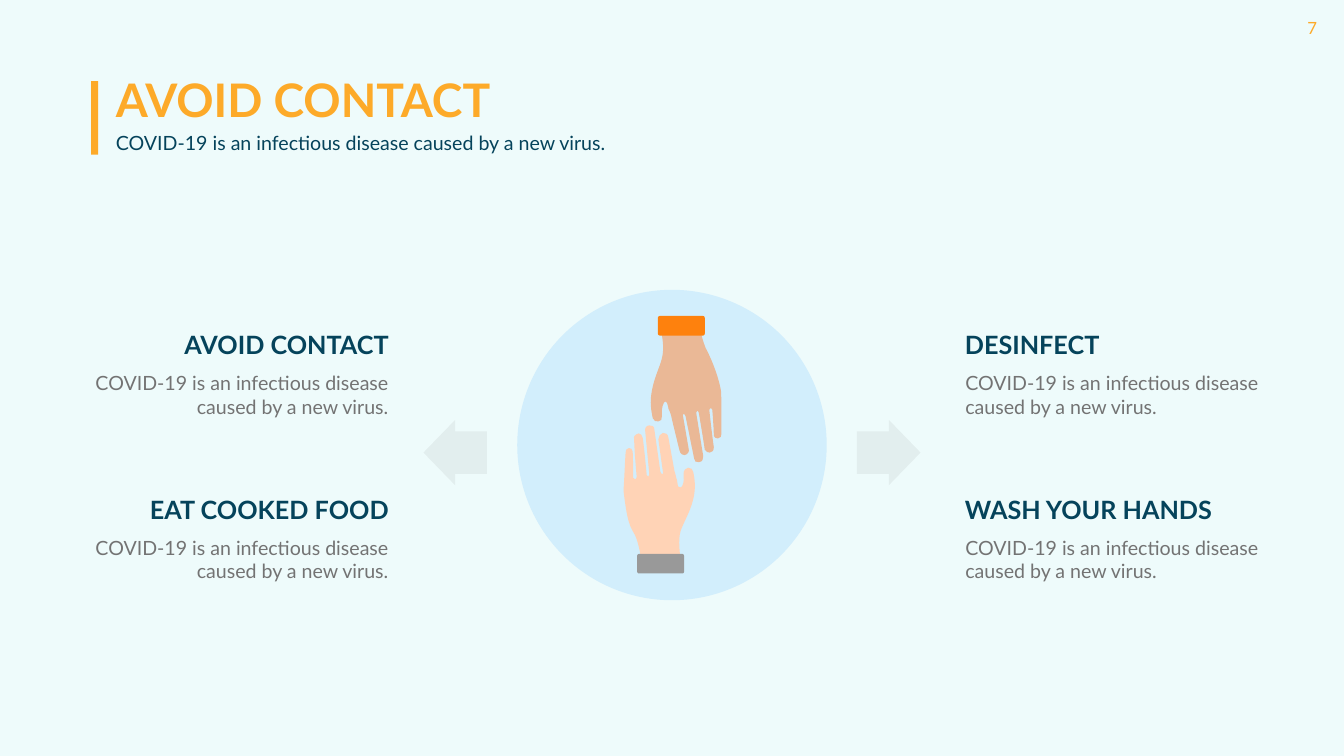
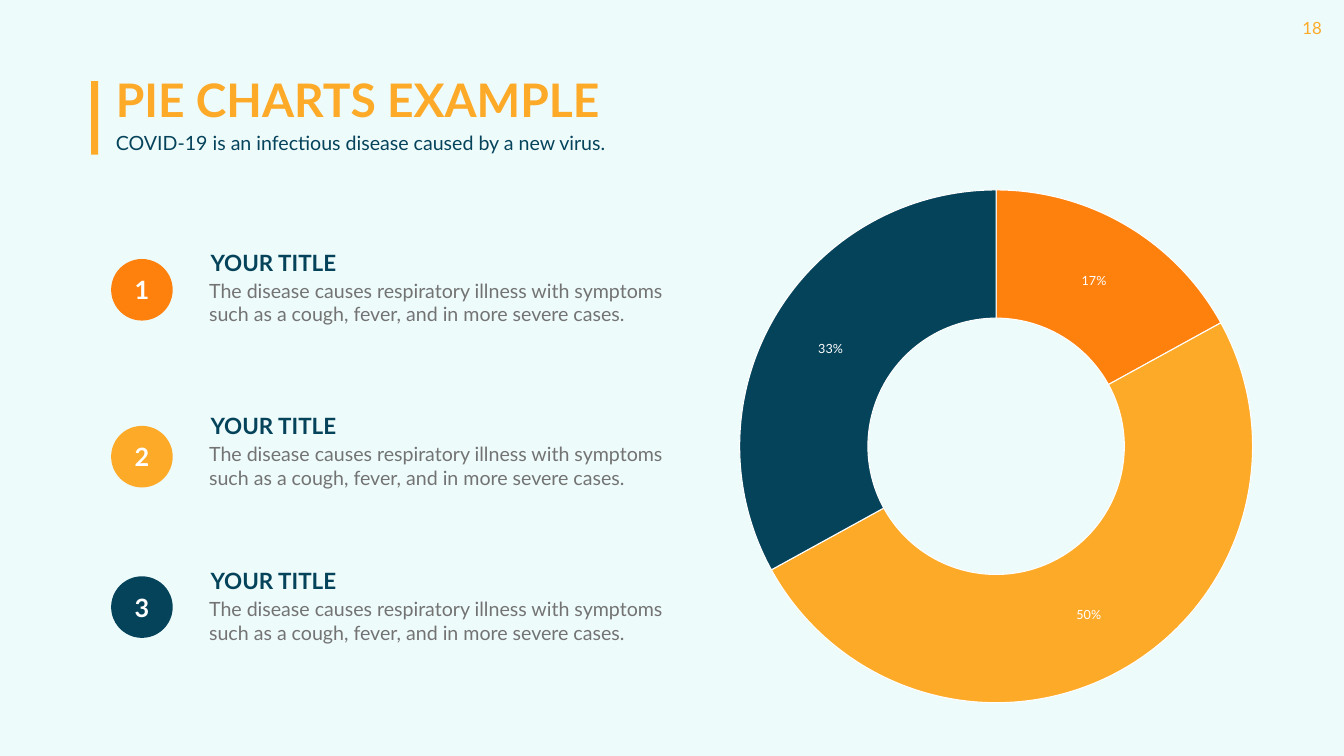
from pptx import Presentation
from pptx.chart.data import CategoryChartData
from pptx.dml.color import RGBColor
from pptx.enum.chart import XL_CHART_TYPE
from pptx.enum.shapes import MSO_SHAPE
from pptx.enum.text import MSO_ANCHOR, MSO_AUTO_SIZE, PP_ALIGN
from pptx.oxml.ns import qn
from pptx.util import Pt
from lxml import etree

LEFT, CENTER, RIGHT = PP_ALIGN.LEFT, PP_ALIGN.CENTER, PP_ALIGN.RIGHT
MIDDLE = MSO_ANCHOR.MIDDLE
FIT_SHAPE = MSO_AUTO_SIZE.SHAPE_TO_FIT_TEXT
RECTANGLE, ROUNDED = MSO_SHAPE.RECTANGLE, MSO_SHAPE.ROUNDED_RECTANGLE
OVAL, RIGHT_ARROW = MSO_SHAPE.OVAL, MSO_SHAPE.RIGHT_ARROW
DOUGHNUT = XL_CHART_TYPE.DOUGHNUT

WHITE = RGBColor(0xFF, 0xFF, 0xFF)
MINT = RGBColor(0xEC, 0xFB, 0xFB)
AMBER = RGBColor(0xFD, 0xAA, 0x29)
ORANGE = RGBColor(0xFE, 0x81, 0x0D)
NAVY = RGBColor(0x05, 0x43, 0x5B)
BODY_GRAY = RGBColor(0x73, 0x73, 0x73)
ARROW_GRAY = RGBColor(0x80, 0x80, 0x80)
CUFF_GRAY = RGBColor(0x99, 0x99, 0x99)
SKY = RGBColor(0xD2, 0xEE, 0xFC)
TAN = RGBColor(0xEA, 0xB8, 0x96)
PEACH = RGBColor(0xFF, 0xD3, 0xB6)

FONT = "Lato"
WIDTH, HEIGHT = 1919.52, 1080
VIRUS_TEXT = "COVID-19 is an infectious disease caused by a new virus."
SYMPTOMS_TEXT = ("The disease causes respiratory illness with symptoms "
                 "such as a cough, fever, and in more severe cases.")

# Hand outlines: two numbers are a line's end, six are a Bézier curve
# (two control points and the end). One unit is 0.72 pt.
HAND_UNIT = 0.72
UPPER_HAND = [
    (23, 2), (20, 2, 18, 5, 18, 9), (25, 36, 28, 59, 23, 78),
    (20, 94, 3, 124, 1, 160), (0, 177, 5, 197, 5, 197),
    (7, 202, 12, 205, 16, 203), (22, 203, 23, 199, 23, 193),
    (23, 185, 22, 175, 27, 166), (28, 163, 31, 163, 33, 166),
    (33, 166, 36, 175, 36, 178), (38, 181, 42, 192, 42, 195),
    (46, 212, 58, 261, 58, 261), (60, 269, 65, 270, 68, 270),
    (75, 269, 78, 262, 76, 257), (65, 193), (63, 188, 68, 186, 70, 193),
    (87, 277), (87, 282, 91, 285, 96, 284), (103, 284, 106, 277, 105, 272),
    (91, 186), (90, 181, 96, 180, 96, 185), (96, 185, 105, 237, 108, 259),
    (110, 264, 115, 265, 118, 265), (123, 265, 126, 261, 126, 254),
    (123, 235, 117, 180, 117, 180), (117, 175, 123, 175, 123, 180),
    (123, 180, 126, 217, 126, 232), (126, 235, 131, 237, 134, 237),
    (140, 237, 141, 232, 141, 228), (141, 172),
    (141, 172, 141, 148, 140, 141), (133, 104, 115, 67, 110, 58),
    (103, 40, 102, 34, 95, 5), (95, 2, 91, 0, 90, 0),
]
LOWER_HAND = [
    (112, 285), (114, 285, 116, 282, 116, 280),
    (112, 252, 109, 228, 114, 210), (119, 193, 139, 164, 142, 129),
    (144, 112, 139, 92, 139, 92), (139, 87, 134, 84, 129, 84),
    (124, 85, 120, 89, 120, 96), (120, 102, 122, 112, 117, 121),
    (116, 124, 111, 124, 109, 121), (107, 109),
    (105, 104, 104, 96, 102, 91), (99, 74, 90, 25, 90, 25),
    (89, 16, 84, 15, 79, 15), (74, 16, 70, 22, 70, 28), (79, 92),
    (81, 97, 76, 99, 74, 92), (62, 8), (62, 1, 57, 0, 52, 0),
    (46, 0, 42, 7, 44, 12), (52, 97), (54, 102, 47, 104, 47, 99),
    (47, 99, 42, 45, 39, 25), (39, 20, 34, 16, 31, 16),
    (24, 18, 20, 22, 22, 28), (22, 47, 27, 102, 27, 102),
    (27, 109, 20, 107, 20, 104), (20, 104, 20, 65, 19, 52),
    (19, 47, 15, 45, 12, 45), (7, 45, 5, 49, 5, 54),
    (4, 69, 2, 111, 2, 111), (2, 111, 0, 133, 2, 139),
    (4, 154, 7, 178, 12, 193), (15, 206, 24, 215, 27, 226),
    (32, 242, 34, 253, 39, 282), (39, 285, 42, 287, 44, 287),
]


def add_text(slide, box, text, align=LEFT, **font_format):
    shape = slide.shapes.add_textbox(*map(Pt, box))
    frame = shape.text_frame
    frame.word_wrap = True
    frame.auto_size = FIT_SHAPE
    paragraph = frame.paragraphs[0]
    paragraph.alignment = align
    run = paragraph.add_run()
    run.text = text
    run.font.color.rgb = font_format.pop("color")
    for name, value in {"name": FONT, **font_format}.items():
        setattr(run.font, name, value)
    return shape


def add_filled(slide, kind, box, color, opacity=100):
    shape = slide.shapes.add_shape(kind, *map(Pt, box))
    shape.shadow.inherit = False
    shape.line.fill.background()
    shape.fill.solid()
    shape.fill.fore_color.rgb = color
    if opacity < 100:
        color_element = shape.fill._xPr.find(".//" + qn("a:srgbClr"))
        etree.SubElement(color_element, qn("a:alpha"), val=str(opacity * 1000))
    return shape


presentation = Presentation()
presentation.slide_width, presentation.slide_height = Pt(WIDTH), Pt(HEIGHT)
blank_layout = presentation.slide_layouts[6]
contact_slide = presentation.slides.add_slide(blank_layout)
chart_slide = presentation.slides.add_slide(blank_layout)

# The tinted background goes to the master, behind everything
background = add_filled(contact_slide, RECTANGLE, (0, 0, WIDTH, HEIGHT), MINT,
                        opacity=85)
presentation.slide_master.shapes._spTree.insert(2, background._element)

# Shared page number and heading
for slide, number, title in [(contact_slide, "7", "AVOID CONTACT"),
                             (chart_slide, "18", "PIE CHARTS EXAMPLE")]:
    page_number = add_text(slide, (1845.36, 18, 69, 44), number, CENTER,
                           size=Pt(24), color=AMBER)
    margins = {"margin_left": 3, "margin_right": 14.4,
               "margin_top": 7.2, "margin_bottom": 7.2}
    for name, value in margins.items():
        setattr(page_number.text_frame, name, Pt(value))
    add_filled(slide, RECTANGLE, (130.3, 116, 10, 105), AMBER)
    add_text(slide, (158.4, 98, 834, 87), title,
             size=Pt(66), color=AMBER, bold=True)
    add_text(slide, (158.4, 183.6, 722, 41), VIRUS_TEXT,
             size=Pt(28), color=NAVY)

# Avoid contact: hands in a circle
add_filled(contact_slide, OVAL, (738.7, 414, 442, 443.5), SKY)
for outline, left, top, color in [(UPPER_HAND, 928.8, 455.76, TAN),
                                  (LOWER_HAND, 889.92, 607.68, PEACH)]:
    vertices = [(Pt(segment[-2] * HAND_UNIT), Pt(segment[-1] * HAND_UNIT))
                for segment in outline]
    builder = contact_slide.shapes.build_freeform(*vertices[0])
    builder.add_line_segments(vertices[1:], close=True)
    hand = builder.convert_to_shape(Pt(left), Pt(top))
    hand.shadow.inherit = False
    hand.line.fill.background()
    hand.fill.solid()
    hand.fill.fore_color.rgb = color
    # Bend the straight segments that have control points
    min_x, min_y = (min(axis) for axis in zip(*vertices))
    lines = list(hand._element.iter(qn("a:lnTo")))
    for line, segment in zip(lines, outline[1:]):
        if len(segment) == 6:
            line.tag = qn("a:cubicBezTo")
            for index in (0, 1):
                x, y = segment[2 * index:2 * index + 2]
                control = etree.Element(qn("a:pt"),
                                        x=str(Pt(x * HAND_UNIT) - min_x),
                                        y=str(Pt(y * HAND_UNIT) - min_y))
                line.insert(index, control)

for left, top, color in [(939.6, 451.4, ORANGE), (910, 791.3, CUFF_GRAY)]:
    cuff = add_filled(contact_slide, ROUNDED, (left, top, 67, 28), color)
    cuff.adjustments[0] = 0.1

for left, rotation in [(1224, 0), (604.8, 180)]:
    arrow = add_filled(contact_slide, RIGHT_ARROW, (left, 599.76, 90.72, 93.6),
                       ARROW_GRAY, opacity=10)
    arrow.adjustments[0] = 0.65
    arrow.adjustments[1] = 0.5
    arrow.rotation = rotation

advice_columns = [
    (1371, 1371.6, LEFT, ["DESINFECT", "WASH YOUR HANDS"]),
    (144.7, 122.4, RIGHT, ["AVOID CONTACT", "EAT COOKED FOOD"]),
]
for title_left, body_left, align, titles in advice_columns:
    for row, title in enumerate(titles):
        top = 467.3 + row * 235.4
        add_text(contact_slide, (title_left, top, 417.6, 51), title, align,
                 size=Pt(36), color=NAVY, bold=True)
        add_text(contact_slide, (body_left, top + 59, 439.2, 75), VIRUS_TEXT,
                 align, size=Pt(28), color=BODY_GRAY)

# Doughnut chart
slice_colors = [ORANGE, AMBER, NAVY]
chart_data = CategoryChartData()
chart_data.categories = ["1", "2", "3"]
chart_data.add_series("Series 1", (17, 50, 33))
chart = chart_slide.shapes.add_chart(
    DOUGHNUT, Pt(1034.6), Pt(261.4), Pt(776.2), Pt(752.4), chart_data).chart
chart.has_legend = False
chart.has_title = False
plot = chart.plots[0]
plot.vary_by_categories = True
plot.has_data_labels = True
labels = plot.data_labels
labels.show_percentage = True
labels.show_value = False
labels.number_format = "0%"
labels.number_format_is_linked = False
for font in (chart.font, labels.font):
    font.name = FONT
    font.size = Pt(18)
    font.color.rgb = WHITE
for index, color in enumerate(slice_colors):
    point_format = plot.series[0].points[index].format
    point_format.fill.solid()
    point_format.fill.fore_color.rgb = color
    point_format.line.color.rgb = WHITE
    point_format.line.width = Pt(1.5)
chart.element.find(".//" + qn("c:holeSize")).set("val", "60")

# Numbered list beside the chart
list_tops = [(352, 370), (585.4, 608.4), (806.4, 823.3)]
for index, (title_top, badge_top) in enumerate(list_tops):
    add_text(chart_slide, (293.8, title_top, 385, 46), "YOUR TITLE",
             size=Pt(32), color=NAVY, bold=True)
    add_text(chart_slide, (291.6, title_top + 42.8, 668, 75), SYMPTOMS_TEXT,
             size=Pt(28), color=BODY_GRAY)
    badge = add_filled(chart_slide, OVAL, (158.7, badge_top, 88, 88),
                       slice_colors[index])
    frame = badge.text_frame
    frame.word_wrap = False
    frame.vertical_anchor = MIDDLE
    paragraph = frame.paragraphs[0]
    paragraph.alignment = CENTER
    run = paragraph.add_run()
    run.text = str(index + 1)
    run.font.color.rgb = WHITE
    for name, value in {"name": FONT, "size": Pt(36), "bold": True}.items():
        setattr(run.font, name, value)

presentation.save("out.pptx")
